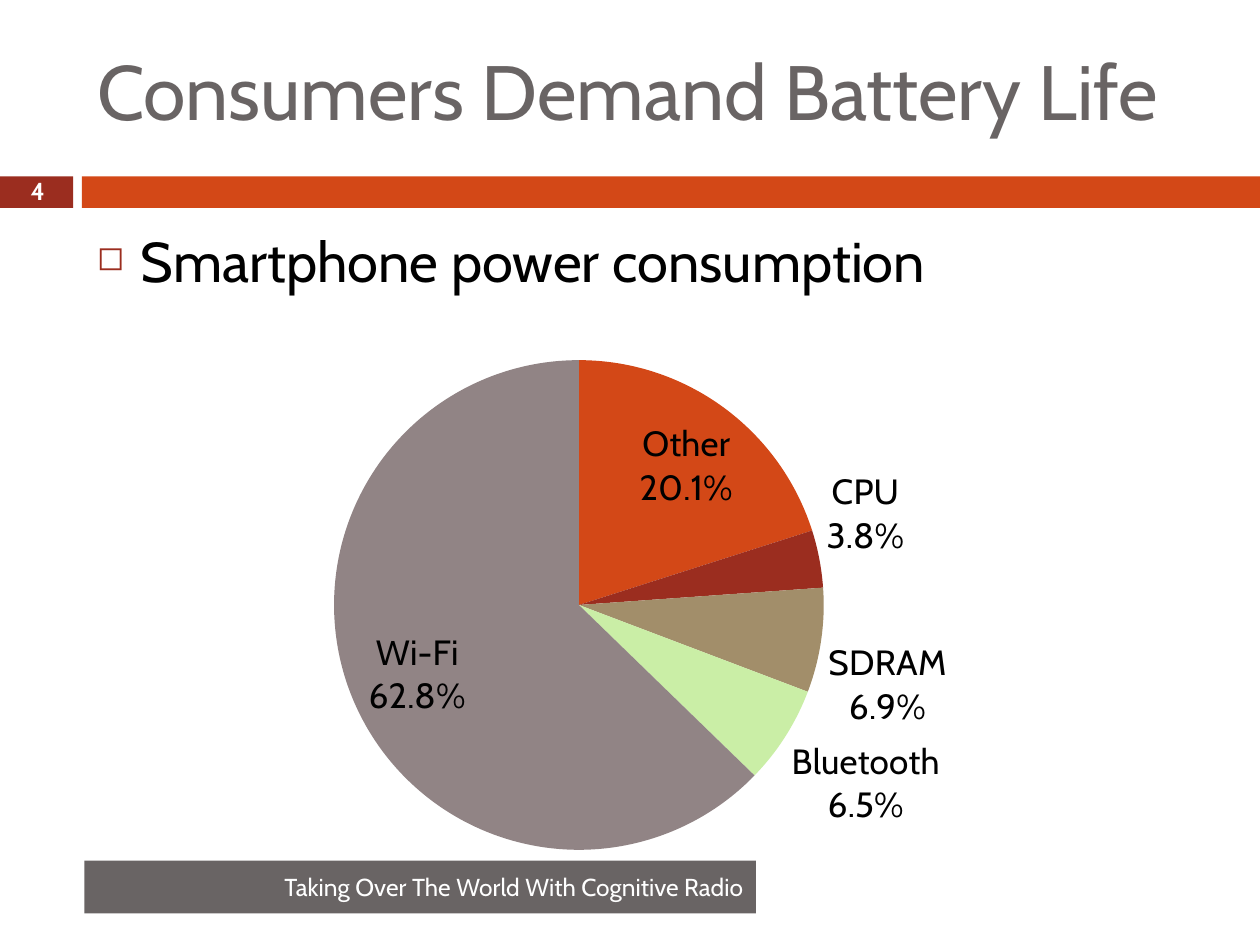
"""Build a slide with a pie chart of smartphone power consumption."""
from lxml import etree
from pptx import Presentation
from pptx.chart.data import CategoryChartData
from pptx.dml.color import RGBColor
from pptx.enum.chart import XL_CHART_TYPE, XL_LABEL_POSITION
from pptx.enum.shapes import MSO_SHAPE
from pptx.enum.text import MSO_ANCHOR, PP_ALIGN
from pptx.oxml import parse_xml
from pptx.oxml.ns import nsdecls, qn
from pptx.util import Inches, Pt

PIE = XL_CHART_TYPE.PIE
FIT = XL_LABEL_POSITION.BEST_FIT
RECT = MSO_SHAPE.RECTANGLE
TOP, MID = MSO_ANCHOR.TOP, MSO_ANCHOR.MIDDLE
LEFT, MIDDLE, RIGHT = PP_ALIGN.LEFT, PP_ALIGN.CENTER, PP_ALIGN.RIGHT
FONT = "Cabin"


def color(code):
    return RGBColor.from_string(code)


def write(shape, text, size=14, ink="FFFFFF", bold=False, align=LEFT, anchor=MID):
    frame = shape.text_frame
    frame.word_wrap = True
    frame.vertical_anchor = anchor
    para = frame.paragraphs[0]
    para.alignment = align
    run = para.add_run()
    run.text = text
    font = run.font
    font.name, font.size, font.bold = FONT, Pt(size), bold
    font.color.rgb = color(ink)
    return para


deck = Presentation()
deck.slide_width, deck.slide_height = Inches(10), Inches(7.5)
slide = deck.slides.add_slide(deck.slide_layouts[5])
shapes = slide.shapes

bars = []
for x, y, w, h, fill in [
    (0, 1.4, 0.58, 0.25, "9B2D1F"),
    (0.65, 1.4, 9.35, 0.25, "D34817"),
    (0.67, 6.83, 5.33, 0.42, "696464"),
]:
    bar = shapes.add_shape(RECT, Inches(x), Inches(y), Inches(w), Inches(h))
    bar.shadow.inherit = False
    bar.fill.solid()
    bar.fill.fore_color.rgb = color(fill)
    bar.line.fill.background()
    bars.append(bar)
write(bars[2], "Taking Over The World With Cognitive Radio", align=RIGHT)

number = shapes.add_textbox(Inches(0.06), Inches(1.35), Inches(0.48), Inches(0.34))
write(number, "4", bold=True, align=MIDDLE, anchor=TOP)

title = shapes.title
title.left, title.top = Inches(0.67), Inches(0.17)
title.width, title.height = Inches(9), Inches(1.08)
write(title, "Consumers Demand Battery Life", size=44, ink="696464")

shares = [
    ("Other", 20.1, "D34817"),
    ("CPU", 3.8, "9B2D1F"),
    ("SDRAM", 6.9, "A28E6A"),
    ("Bluetooth", 6.5, "CAEEA6"),
    ("Wi-Fi", 62.8, "918485"),
]
data = CategoryChartData()
data.categories = [name for name, share, fill in shares]
data.add_series("Series 1", [share for name, share, fill in shares])
frame = shapes.add_chart(
    PIE, Inches(0.67), Inches(2.17), Inches(8.92), Inches(4.92), data
)
chart = frame.chart
chart.has_legend = False
chart.has_title = False
chart.font.name, chart.font.size = FONT, Pt(10)
chart.font.color.rgb = color("000000")
plot = chart.plots[0]
plot.vary_by_categories = True
for i, (name, share, fill) in enumerate(shares):
    slice_fill = plot.series[0].points[i].format.fill
    slice_fill.solid()
    slice_fill.fore_color.rgb = color(fill)

labels = plot.series[0].data_labels
labels.show_category_name = True
labels.show_value = True
labels.show_percentage = False
labels.number_format = '0.0"%"'
labels.number_format_is_linked = False
labels.position = FIT
labels.font.name, labels.font.size = FONT, Pt(20)
labels.font.color.rgb = color("000000")
bubble = plot.series[0]._element.find(".//" + qn("c:showBubbleSize"))
split = etree.Element(qn("c:separator"))
split.text = "\n"
bubble.addnext(split)

area = chart._chartSpace.find(".//" + qn("c:plotArea"))
for old in area.findall(qn("c:layout")):
    area.remove(old)
places = "".join(
    f'<c:{tag} val="{val}"/>'
    for tag, val in [
        ("layoutTarget", "inner"), ("xMode", "edge"), ("yMode", "edge"),
        ("x", 0.22), ("y", 0.14), ("w", 0.44), ("h", 0.79),
    ]
)
area.insert(0, parse_xml(
    f'<c:layout {nsdecls("c")}><c:manualLayout>{places}</c:manualLayout></c:layout>'
))

body = shapes.add_textbox(Inches(0.67), Inches(1.75), Inches(8.92), Inches(4.92))
para = write(body, "Smartphone power consumption", size=32, ink="000000", anchor=TOP)
para.space_before = Pt(7)
props = para._p.get_or_add_pPr()
props.set("marL", str(Inches(0.35)))
props.set("indent", str(Inches(-0.35)))
for bullet in [
    '<a:buClr {}><a:srgbClr val="9B2D1F"/></a:buClr>',
    '<a:buSzPct {} val="60000"/>',
    '<a:buChar {} char="◻"/>',
]:
    props.append(parse_xml(bullet.format(nsdecls("a"))))

deck.save("out.pptx")
